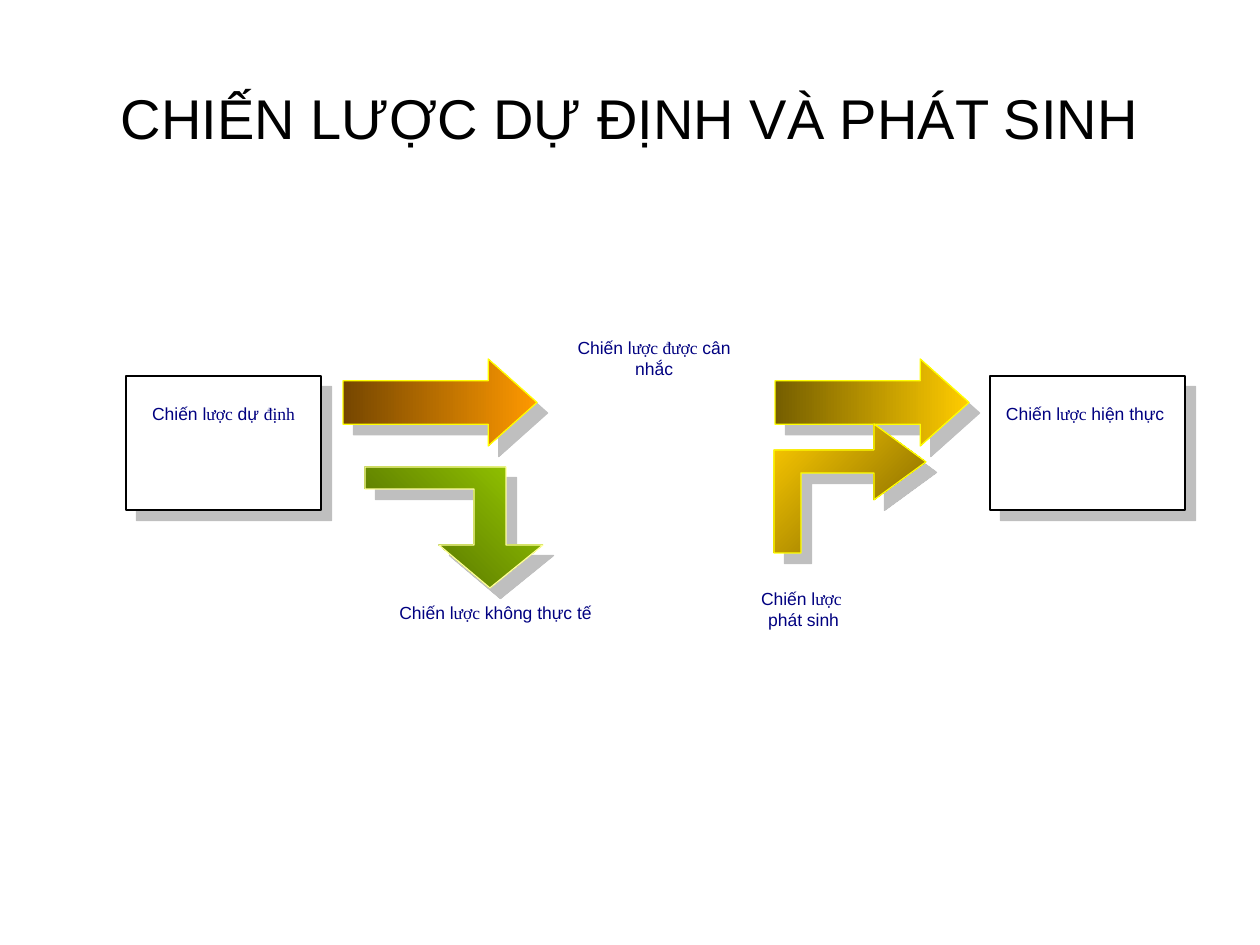
from dataclasses import dataclass

from lxml import etree
from pptx import Presentation
from pptx import util as u
from pptx.dml.color import RGBColor
from pptx.enum import shapes, text
from pptx.oxml import ns

PX = u.Inches(1) / 126
COLORS = {
    "black": "000000", "white": "FFFFFF", "navy": "000080", "gray": "808080",
    "yellow": "FFFF00", "pale": "FFFF99",
    "orange": "FF9900", "brown": "754600",
    "gold": "FFCC00", "olive": "755E00",
    "lime": "99CC00", "moss": "465E00",
}
SANS, SERIF = "Arial", "Times New Roman"
Lines = list[list[str]]  # runs of each line, alternating SANS and SERIF


@dataclass
class Label:
    x: int
    y: int
    w: int
    h: int
    lines: Lines
    boxed: bool = False


@dataclass
class Arrow:
    x: int
    y: int
    w: int
    h: int
    bright: str
    dark: str


@dataclass
class BentArrow:
    points: list[tuple[int, int]]
    bright: str
    dark: str
    line: str
    angle: int


def px(n: float) -> int:
    return round(n * PX)


def rgb(name: str) -> RGBColor:
    return RGBColor.from_string(COLORS[name])


def write(sp, lines: Lines, *, size: int = 10, color: str = "navy",
          insets=(0, 0, 2, 0), anchor=text.MSO_ANCHOR.TOP) -> None:
    tf = sp.text_frame
    tf.word_wrap = True
    tf.vertical_anchor = anchor
    tf.margin_left, tf.margin_top, tf.margin_right, tf.margin_bottom = map(px, insets)
    for i, line in enumerate(lines):
        p = tf.paragraphs[0] if i == 0 else tf.add_paragraph()
        p.alignment = text.PP_ALIGN.CENTER
        for j, part in enumerate(line):
            r = p.add_run()
            r.text = part
            r.font.name = SERIF if j % 2 else SANS
            r.font.size = u.Pt(size)
            r.font.color.rgb = rgb(color)


def outline(sp, color: str) -> None:
    sp.line.color.rgb = rgb(color)
    sp.line.width = u.Pt(0.75)


def add_shadow(sp) -> None:
    sp.shadow.inherit = False
    effects = sp._element.spPr.find(ns.qn("a:effectLst"))
    shadow = etree.SubElement(effects, ns.qn("a:outerShdw"), dist=str(u.Pt(8.5)),
                              dir="2700000", algn="ctr", rotWithShape="0")
    color = etree.SubElement(shadow, ns.qn("a:srgbClr"), val=COLORS["gray"])
    etree.SubElement(color, ns.qn("a:alpha"), val="50000")


def shade(sp, bright: str, dark: str, angle: int) -> None:
    sp.fill.gradient()
    sp.fill.gradient_angle = angle
    for stop, name, position in zip(sp.fill.gradient_stops, (bright, dark), (0, 1)):
        stop.color.rgb = rgb(name)
        stop.position = position


def draw_label(s, label: Label) -> None:
    sp = s.shapes.add_shape(shapes.MSO_SHAPE.RECTANGLE, px(label.x), px(label.y),
                            px(label.w), px(label.h))
    sp.fill.solid()
    sp.fill.fore_color.rgb = rgb("white")
    if label.boxed:
        outline(sp, "black")
        add_shadow(sp)
        write(sp, label.lines, insets=(13, 27, 13, 6))
    else:
        sp.line.fill.background()
        sp.shadow.inherit = False
        write(sp, label.lines)


def draw_arrow(s, arrow: Arrow) -> None:
    sp = s.shapes.add_shape(shapes.MSO_SHAPE.RIGHT_ARROW, px(arrow.x), px(arrow.y),
                            px(arrow.w), px(arrow.h))
    sp.adjustments[0], sp.adjustments[1] = 0.5, 0.56
    shade(sp, arrow.bright, arrow.dark, 180)
    outline(sp, "yellow")
    add_shadow(sp)


def draw_bent_arrow(s, arrow: BentArrow) -> None:
    start, *rest = arrow.points
    builder = s.shapes.build_freeform(*start, scale=PX)
    builder.add_line_segments(rest, close=True)
    sp = builder.convert_to_shape()
    shade(sp, arrow.bright, arrow.dark, arrow.angle)
    outline(sp, arrow.line)
    add_shadow(sp)


# Diagram parts, from back to front
PARTS = [
    Label(126, 376, 195, 134, [["Chiến l", "ược", " dự ", "định"]], boxed=True),
    Arrow(343, 359, 194, 87, "orange", "brown"),
    BentArrow([(365, 489), (474, 489), (474, 545), (439, 545), (490, 588),
               (543, 545), (506, 545), (506, 467), (365, 467)],
              "lime", "moss", "pale", 225),
    Label(558, 337, 194, 151, [["Chiến l", "ược được", " cân nhắc"]]),
    Arrow(775, 359, 194, 87, "gold", "olive"),
    BentArrow([(774, 553), (801, 553), (801, 473), (874, 473), (874, 500),
               (926, 462), (874, 424), (874, 450), (774, 450)],
              "gold", "olive", "yellow", 315),
    Label(399, 602, 195, 87, [["Chiến l", "ược", " không thực tế"]]),
    Label(707, 588, 195, 78, [["Chiến l", "ược "], ["phát sinh"]]),
    Label(990, 376, 195, 134, [["Chiến l", "ược", " hiện thực "]], boxed=True),
]
DRAW = {Label: draw_label, Arrow: draw_arrow, BentArrow: draw_bent_arrow}


def main() -> None:
    prs = Presentation()
    prs.slide_width, prs.slide_height = px(1260), px(945)
    s = prs.slides.add_slide(prs.slide_layouts[6])

    # Title
    title = s.shapes.add_textbox(px(63), px(38), px(1134), px(158))
    write(title, [["CHIẾN LƯỢC DỰ ĐỊNH VÀ PHÁT SINH"]], size=32, color="black",
          insets=(13, 6, 13, 6), anchor=text.MSO_ANCHOR.MIDDLE)

    # Diagram
    for part in PARTS:
        DRAW[type(part)](s, part)

    prs.save("out.pptx")


if __name__ == "__main__":
    main()
